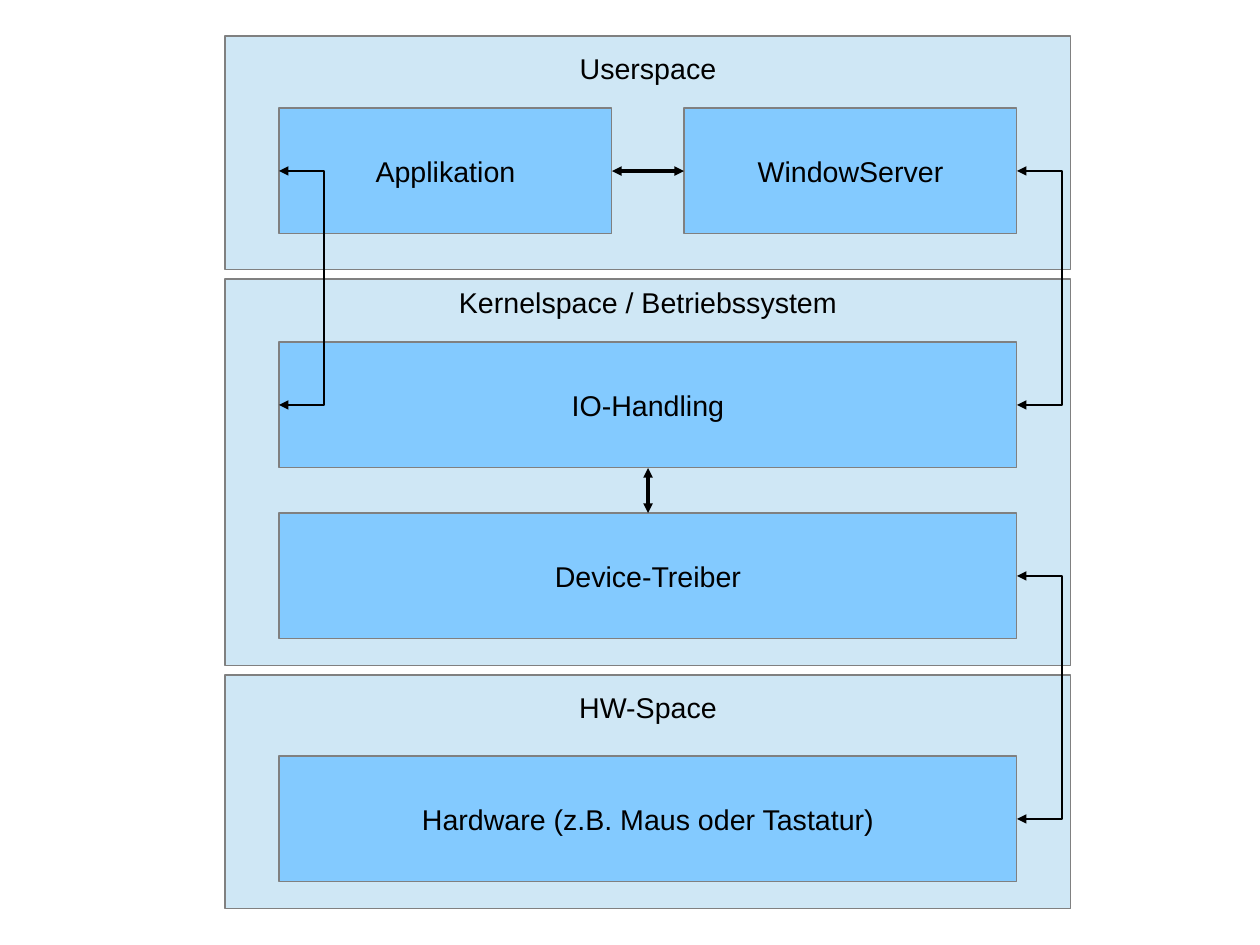
from pptx import Presentation
from pptx.dml.color import RGBColor
from pptx.enum.shapes import MSO_CONNECTOR, MSO_SHAPE
from pptx.enum.text import MSO_ANCHOR, PP_ALIGN
from pptx.oxml.ns import qn
from pptx.util import Pt
from lxml.etree import SubElement

PX = 8000
COLORS = {"panel": "CFE7F5", "box": "83CAFF", "edge": "808080", "ink": "000000"}
FONT = {"name": "Arial", "size": Pt(18)}
INSET, BOX_H, LOOP = 54, 126, 45


def color(key):
    return RGBColor.from_string(COLORS[key])


def add_rect(shapes, text, area, fill, frame):
    rect = shapes.add_shape(MSO_SHAPE.RECTANGLE, *[n * PX for n in area])
    rect.shadow.inherit = False
    rect.fill.solid()
    rect.fill.fore_color.rgb = color(fill)
    rect.line.color.rgb = color("edge")
    rect.line.width = 0
    for key, value in frame.items():
        setattr(rect.text_frame, key, value)
    para = rect.text_frame.paragraphs[0]
    para.alignment = PP_ALIGN.CENTER
    run = para.add_run()
    run.text = text
    for key, value in FONT.items():
        setattr(run.font, key, value)
    run.font.color.rgb = color("ink")
    return rect


def add_panel(shapes, title, area, pad, rows):
    frame = {"vertical_anchor": MSO_ANCHOR.TOP, "margin_top": pad * PX, "word_wrap": True}
    add_rect(shapes, title, area, "panel", frame)
    left, top, width, _ = area
    inner = width - 2 * INSET
    boxes = []
    for drop, names, gap in rows:
        wide = (inner - gap * (len(names) - 1)) // len(names)
        for i, name in enumerate(names):
            place = (left + INSET + i * (wide + gap), top + drop, wide, BOX_H)
            frame = {"vertical_anchor": MSO_ANCHOR.MIDDLE, "word_wrap": True}
            boxes.append(add_rect(shapes, name, place, "box", frame))
    return boxes


def style_line(shape):
    shape.line.color.rgb = color("ink")
    shape.line.width = 0
    ln = shape.element.spPr.find(qn("a:ln"))
    for end in ("a:headEnd", "a:tailEnd"):
        SubElement(ln, qn(end), type="triangle")


def add_link(shapes, start, end, sides):
    link = shapes.add_connector(MSO_CONNECTOR.STRAIGHT, 0, 0, 0, 0)
    link.begin_connect(start, sides[0])
    link.end_connect(end, sides[1])
    style_line(link)
    SubElement(link.element.spPr, qn("a:effectLst"))


def add_loop(shapes, start, end, x):
    top, low = [box.top + box.height // 2 for box in (start, end)]
    out = x + LOOP * PX
    draft = shapes.build_freeform(x, top)
    draft.add_line_segments([(out, top), (out, low), (x, low)], close=False)
    loop = draft.convert_to_shape()
    loop.shadow.inherit = False
    loop.fill.background()
    style_line(loop)


def main():
    deck = Presentation()
    deck.slide_width, deck.slide_height = 1260 * PX, 945 * PX
    shapes = deck.slides.add_slide(deck.slide_layouts[6]).shapes
    app, server = add_panel(
        shapes, "Userspace", (225, 36, 846, 234), 15,
        [(72, ["Applikation", "WindowServer"], 72)])
    io_box, driver = add_panel(
        shapes, "Kernelspace / Betriebssystem", (225, 279, 846, 387), 6,
        [(63, ["IO-Handling"], 0), (234, ["Device-Treiber"], 0)])
    [device] = add_panel(
        shapes, "HW-Space", (225, 675, 846, 234), 15,
        [(81, ["Hardware (z.B. Maus oder Tastatur)"], 0)])
    add_link(shapes, app, server, (3, 1))
    add_link(shapes, io_box, driver, (2, 0))
    right = io_box.left + io_box.width
    add_loop(shapes, app, io_box, app.left)
    add_loop(shapes, server, io_box, right)
    add_loop(shapes, driver, device, right)
    deck.save("out.pptx")


if __name__ == "__main__":
    main()
